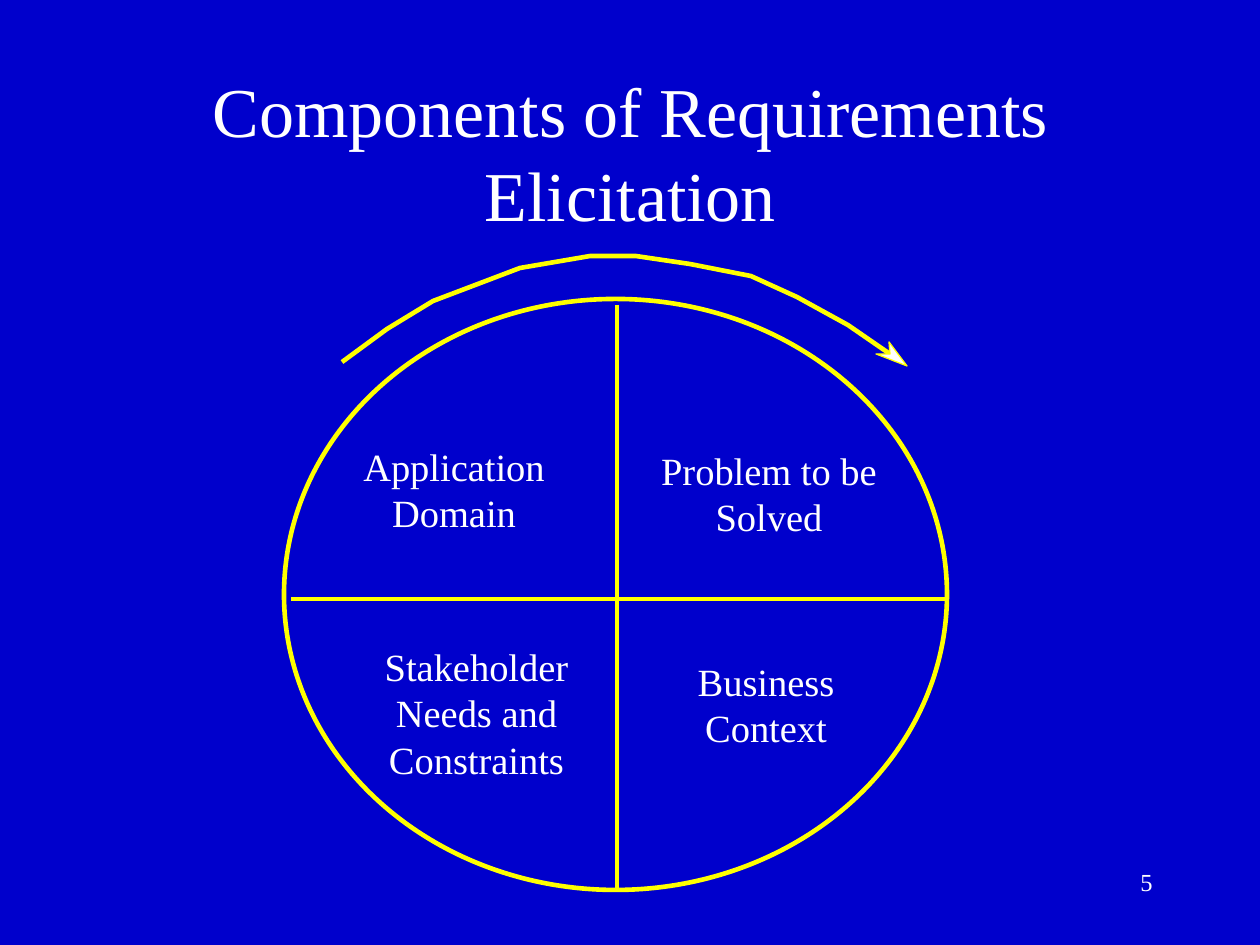
from lxml import etree
from pptx import Presentation
from pptx.dml.color import RGBColor
from pptx.enum.shapes import MSO_CONNECTOR, MSO_SHAPE
from pptx.enum.text import MSO_ANCHOR, MSO_AUTO_SIZE, PP_ALIGN
from pptx.oxml.ns import qn
from pptx.util import Pt

PX = 914400 / 126  # EMU per px
STRAIGHT, OVAL = MSO_CONNECTOR.STRAIGHT, MSO_SHAPE.OVAL
CENTER, RIGHT = PP_ALIGN.CENTER, PP_ALIGN.RIGHT
TOP, BOTTOM = MSO_ANCHOR.TOP, MSO_ANCHOR.BOTTOM
FIXED, GROW = MSO_AUTO_SIZE.NONE, MSO_AUTO_SIZE.SHAPE_TO_FIT_TEXT
COLORS = {"back": "0000CC", "line": "FFFF00", "text": "FFFFFF"}
RGB = {name: RGBColor.from_string(value) for name, value in COLORS.items()}


def px(*values):
    return [round(v * PX) for v in values]


def put_text(sp, text, size, align=CENTER, anchor=TOP, wrap=True, fit=FIXED):
    tf = sp.text_frame
    tf.word_wrap = wrap
    tf.auto_size = fit
    tf.vertical_anchor = anchor
    tf.text = text
    for p in tf.paragraphs:
        p.alignment = align
        font = p.runs[0].font
        font.name, font.size = "Times New Roman", Pt(size)
        font.color.rgb = RGB["text"]


prs = Presentation()
prs.slide_width, prs.slide_height = px(1260, 945)
s = prs.slides.add_slide(prs.slide_layouts[5])
s.background.fill.solid()
s.background.fill.fore_color.rgb = RGB["back"]

# Title
title = s.shapes.title
title.left, title.top, title.width, title.height = px(95, 84, 1071, 158)
put_text(title, "Components of Requirements Elicitation", 40, anchor=BOTTOM)

# Circle
circle = s.shapes.add_shape(OVAL, *px(284, 299, 663, 591))
circle.shadow.inherit = False
circle.fill.background()
circle.line.color.rgb = RGB["line"]
circle.line.width = Pt(2.64)

# Quadrant dividers
for ends in [(617, 305, 617, 888), (291, 599, 948, 599)]:
    divider = s.shapes.add_connector(STRAIGHT, *px(*ends))
    divider.line.color.rgb = RGB["line"]
    divider.line.width = Pt(2.64)
    etree.SubElement(divider.element.spPr, qn("a:effectLst"))

# Curved arrow: open arc, then its filled head
arc = [(342, 362), (387, 329), (433, 301), (520, 268), (590, 256), (636, 256),
       (690, 264), (751, 276), (797, 297), (848, 325), (890, 354)]
head = [(890, 354), (889, 342), (907, 366), (876, 354)]
for points, closed, width in [(arc, False, 2.64), (head, True, 0.75)]:
    builder = s.shapes.build_freeform(*points[0], scale=PX)
    builder.add_line_segments(points[1:], close=closed)
    sp = builder.convert_to_shape()
    sp.shadow.inherit = False
    sp.line.color.rgb = RGB["line"]
    sp.line.width = Pt(width)
    if closed:
        sp.fill.solid()
        sp.fill.fore_color.rgb = RGB["text"]
    else:
        sp.fill.background()

# Quadrant labels
labels = [
    ("Business\nContext", 685, 652, 162, 106),
    ("Stakeholder\nNeeds and\nConstraints", 372, 637, 209, 151),
    ("Application\nDomain", 350, 437, 208, 106),
    ("Problem to be\nSolved", 648, 441, 242, 106),
]
for text, *box in labels:
    label = s.shapes.add_textbox(*px(*box))
    put_text(label, text, 22, wrap=False, fit=GROW)

# Page number
put_text(s.shapes.add_textbox(*px(903, 861, 262, 63)), "5", 14, align=RIGHT)

prs.save("out.pptx")
